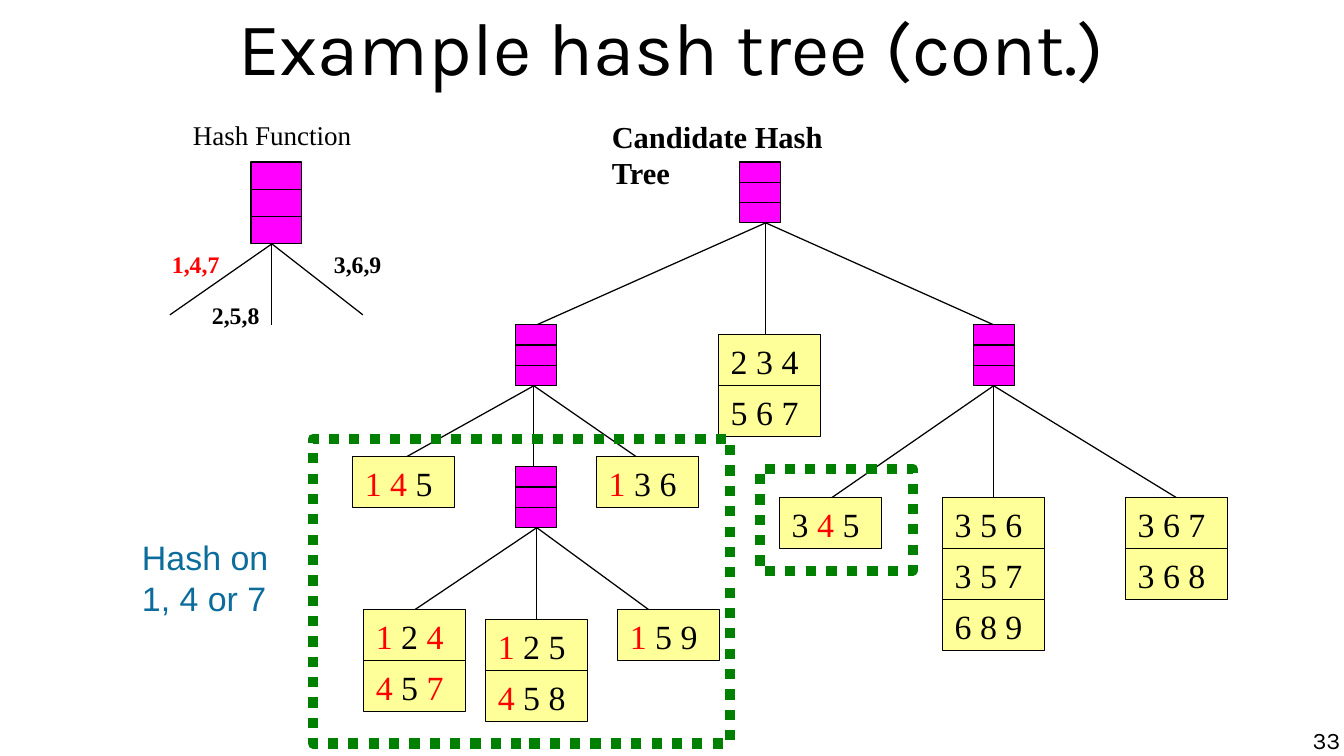
from dataclasses import dataclass

from lxml import etree
from pptx import Presentation
from pptx import util as u
from pptx.dml.color import RGBColor
from pptx.enum import dml, shapes, text
from pptx.oxml import ns

SCALE = 914400 / 122


@dataclass(frozen=True)
class Theme:
    """Colours, fonts, type sizes and line widths of the slide."""
    ink: str = "000000"
    match: str = "FF0000"
    node: str = "FF00FF"
    leaf: str = "FFFF99"
    frame: str = "008000"
    note: str = "0C6D9C"
    sans: str = "Karla"
    serif: str = "Times New Roman"
    plain: str = "Arial"
    title: int = 44
    item: int = 20
    heading: int = 18
    caption: int = 16
    small: int = 14
    thin: float = 0.74
    thick: float = 6


THEME = Theme()


def px(value):
    """Turn picture pixels into EMU."""
    return u.Emu(round(value * SCALE))


def colour(code):
    """Turn a hex code into a colour."""
    return RGBColor.from_string(code)


def add_span(para, words, size, font, ink, bold=False):
    """Add one run of text to a paragraph."""
    span = para.add_run()
    span.text = words
    span.font.size = u.Pt(size)
    span.font.name = font
    span.font.bold = bold
    span.font.color.rgb = colour(ink)


def add_label(page, area, words, size, font, ink=THEME.ink, bold=False,
              wrap=False, align=text.PP_ALIGN.LEFT, inset=True,
              anchor=text.MSO_ANCHOR.TOP):
    """Add a text box with a single run."""
    frame = page.shapes.add_textbox(*map(px, area)).text_frame
    frame.word_wrap = wrap
    frame.vertical_anchor = anchor
    if not inset:
        frame.margin_left = frame.margin_right = 0
        frame.margin_top = frame.margin_bottom = 0
    para = frame.paragraphs[0]
    para.alignment = align
    add_span(para, words, size, font, ink, bold)


def add_line(page, start, end):
    """Add a thin straight line without a shadow."""
    line = page.shapes.add_connector(
        shapes.MSO_CONNECTOR.STRAIGHT, *map(px, (*start, *end)))
    line.line.color.rgb = colour(THEME.ink)
    line.line.width = u.Pt(THEME.thin)
    etree.SubElement(line._element.spPr, ns.qn("a:effectLst"))


def add_box(page, area, fill=None, ink=THEME.ink, width=THEME.thin):
    """Add a rectangle, hollow when it has no fill."""
    box = page.shapes.add_shape(shapes.MSO_SHAPE.RECTANGLE, *map(px, area))
    box.shadow.inherit = False
    if fill:
        box.fill.solid()
        box.fill.fore_color.rgb = colour(fill)
    else:
        box.fill.background()
    box.line.color.rgb = colour(ink)
    box.line.width = u.Pt(width)
    return box


def add_node(page, left, top, width=41, height=61):
    """Add a hash node split into three equal cells."""
    add_box(page, (left, top, width, height), THEME.node)
    for cell in (1, 2):
        level = top + height * cell / 3
        add_line(page, (left, level), (left + width, level))


def add_fan(page, apex, tips):
    """Join a node to each of its branches."""
    for tip in tips:
        add_line(page, apex, tip)


def add_leaf(page, left, top, itemsets):
    """Stack itemsets, colouring the parts between asterisks as matches."""
    width, height = 102, 51
    for row, items in enumerate(itemsets):
        box = add_box(page, (left, top + row * height, width, height), THEME.leaf)
        frame = box.text_frame
        frame.word_wrap = True
        frame.vertical_anchor = text.MSO_ANCHOR.TOP
        para = frame.paragraphs[0]
        para.alignment = text.PP_ALIGN.LEFT
        for index, part in enumerate(items.split("*")):
            if part:
                ink = THEME.match if index % 2 else THEME.ink
                add_span(para, part, THEME.item, THEME.serif, ink)


def add_frame(page, area):
    """Add a dotted frame around a visited part of the tree."""
    box = add_box(page, area, ink=THEME.frame, width=THEME.thick)
    box.line.dash_style = dml.MSO_LINE.ROUND_DOT


def add_hash_function(page):
    """Draw the hash function and its three buckets."""
    add_label(page, (181, 112, 183, 45), "Hash Function",
              THEME.caption, THEME.serif)
    add_node(page, 251, 162, 51, 82)
    add_fan(page, (272, 244), [(170, 315), (272, 325), (363, 315)])
    buckets = [(160, 244, "1,4,7", THEME.match),
               (200, 295, "2,5,8", THEME.ink),
               (322, 244, "3,6,9", THEME.ink)]
    for left, top, words, ink in buckets:
        add_label(page, (left, top, 72, 40), words,
                  THEME.small, THEME.serif, ink, bold=True)


def add_tree(page):
    """Draw the candidate hash tree."""
    add_label(page, (600, 112, 300, 49), "Candidate Hash Tree",
              THEME.heading, THEME.serif, bold=True)
    fans = [((766, 223), [(537, 325), (766, 335), (994, 325)]),
            ((534, 386), [(405, 458), (534, 467), (638, 458)]),
            ((994, 386), [(832, 498), (994, 498), (1177, 498)]),
            ((537, 528), [(415, 610), (537, 620), (649, 610)])]
    for apex, tips in fans:
        add_fan(page, apex, tips)
    for left, top in [(740, 162), (516, 325), (974, 325), (516, 467)]:
        add_node(page, left, top)
    leaves = [(719, 335, ["2 3 4", "5 6 7"]),
              (353, 457, ["*1 4* 5"]),
              (597, 457, ["*1* 3 6"]),
              (780, 498, ["3 *4* 5"]),
              (943, 498, ["3 5 6", "3 5 7", "6 8 9"]),
              (1126, 498, ["3 6 7", "3 6 8"]),
              (364, 610, ["*1* 2 *4*", "*4* 5 *7*"]),
              (486, 620, ["*1* 2 5", "*4* 5 8"]),
              (618, 610, ["*1* 5 9"])]
    for left, top, itemsets in leaves:
        add_leaf(page, left, top, itemsets)


def main():
    """Build the slide and save it."""
    deck = Presentation()
    deck.slide_width, deck.slide_height = u.Inches(11.02), u.Inches(6.2)
    page = deck.slides.add_slide(deck.slide_layouts[6])
    add_label(page, (67, -5, 1210, 101), "Example hash tree (cont.)",
              THEME.title, THEME.sans, wrap=True, inset=False,
              align=text.PP_ALIGN.CENTER, anchor=text.MSO_ANCHOR.MIDDLE)
    add_tree(page)
    add_hash_function(page)
    add_label(page, (130, 531, 153, 94), "Hash on 1, 4 or 7",
              THEME.item, THEME.plain, THEME.note, wrap=True)
    add_frame(page, (313, 439, 417, 305))
    add_frame(page, (760, 469, 153, 102))
    add_label(page, (1027, 726, 314, 30), "33", THEME.small, THEME.sans,
              wrap=True, inset=False, align=text.PP_ALIGN.RIGHT)
    deck.save("out.pptx")


main()
